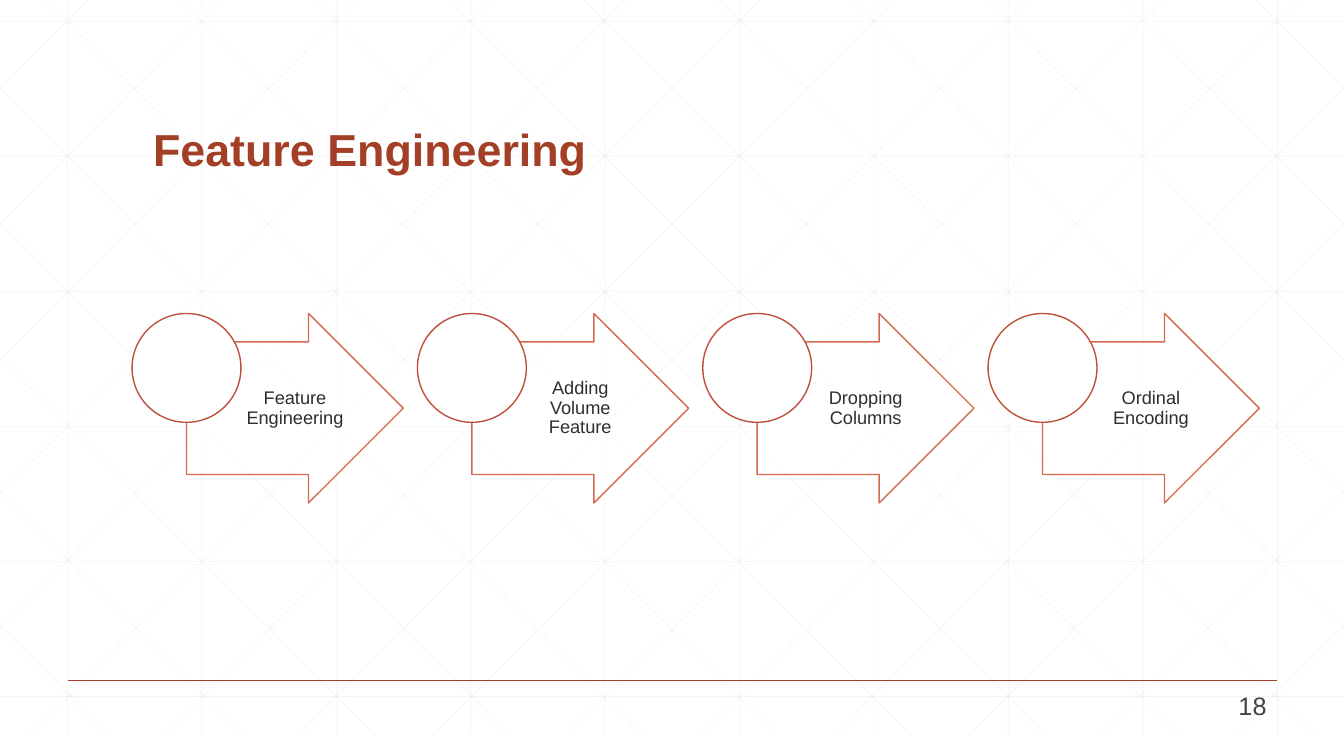
from lxml import etree
from pptx import Presentation
from pptx.dml.color import RGBColor
from pptx.enum.shapes import MSO_CONNECTOR, MSO_SHAPE
from pptx.enum.text import MSO_ANCHOR, PP_ALIGN
from pptx.oxml.ns import qn
from pptx.util import Pt

STRAIGHT = MSO_CONNECTOR.STRAIGHT
ARROW, CIRCLE = MSO_SHAPE.RIGHT_ARROW, MSO_SHAPE.OVAL
BOTTOM, MIDDLE = MSO_ANCHOR.BOTTOM, MSO_ANCHOR.MIDDLE
LEFT, CENTER, RIGHT = PP_ALIGN.LEFT, PP_ALIGN.CENTER, PP_ALIGN.RIGHT
PX = 9144
WIDTH, HEIGHT = 1333, 750
COLORS = {
    "white": "FFFFFF", "grid": "D9D9D9", "brand": "A43F27", "arrow": "D15A3E",
    "circle": "BE5238", "label": "2D2E2D", "number": "424342",
}

prs = Presentation()
prs.slide_width, prs.slide_height = WIDTH * PX, HEIGHT * PX
slide = prs.slides.add_slide(prs.slide_layouts[6])
slide.background.fill.solid()
slide.background.fill.fore_color.rgb = RGBColor.from_string(COLORS["white"])


def write(text, box, size, color, bold=False, align=LEFT, anchor=MIDDLE,
          spacing=1.0, insets=(10, 5, 10, 5)):
    frame = slide.shapes.add_textbox(*(v * PX for v in box)).text_frame
    frame.word_wrap = True
    frame.vertical_anchor = anchor
    (frame.margin_left, frame.margin_top,
     frame.margin_right, frame.margin_bottom) = (v * PX for v in insets)
    paragraph = frame.paragraphs[0]
    paragraph.alignment = align
    paragraph.line_spacing = spacing
    run = paragraph.add_run()
    run.text = text
    run.font.name = "Arial"
    run.font.size = Pt(size)
    run.font.bold = bold
    run.font.color.rgb = RGBColor.from_string(COLORS[color])


def outline(item, color, width, opacity=100):
    item.line.color.rgb = RGBColor.from_string(COLORS[color])
    item.line.width = Pt(width)
    if opacity < 100:
        for tint in item._element.spPr.iter(qn("a:srgbClr")):
            etree.SubElement(tint, qn("a:alpha"), val=str(opacity * 1000))


GRID_TOP, GRID_BOTTOM = -21, 729
SLOPE = 750 / 745
verticals = [round(67 + i * 400 / 3) for i in range(10)]
grid = [(x, GRID_TOP, x, GRID_BOTTOM) for x in verticals]
grid += [(0, y, WIDTH, y) for y in range(21, 692, 134)]

diagonals = []
for i in range(10):
    start = round(25 + i * 400 / 3)
    end = min(start + 745, WIDTH)
    diagonals.append((start, GRID_TOP, end, round(GRID_TOP + (end - start) * SLOPE)))
for i in range(5):
    start = round(637 - i * 132.3)
    diagonals.append((start, GRID_BOTTOM, 0, round(GRID_BOTTOM - start * SLOPE)))
grid += diagonals
grid += [(WIDTH - x1, y1, WIDTH - x2, y2) for x1, y1, x2, y2 in diagonals]

rules = [(ends, "grid", 0.5, 25) for ends in grid]
rules.append(((67, 675, 1267, 675), "brand", 1, 100))
for ends, color, width, opacity in rules:
    rule = slide.shapes.add_connector(STRAIGHT, *(v * PX for v in ends))
    outline(rule, color, width, opacity)
    etree.SubElement(rule._element.spPr, qn("a:effectLst"))

write("Feature Engineering", (142, 55, 1050, 125), 32, "brand",
      bold=True, anchor=BOTTOM, spacing=0.9)

STEPS = ["Feature Engineering", "Adding Volume Feature",
         "Dropping Columns", "Ordinal Encoding"]
for i, step in enumerate(STEPS):
    left = 131 + i * 283
    for preset, box, color, opacity in [
        (ARROW, (left + 54, 311, 215, 188), "arrow", 90),
        (CIRCLE, (left, 311, 108, 108), "circle", 100),
    ]:
        part = slide.shapes.add_shape(preset, *(v * PX for v in box))
        part.shadow.inherit = False
        part.fill.solid()
        part.fill.fore_color.rgb = RGBColor.from_string(COLORS["white"])
        outline(part, color, 1, opacity)
        if preset == ARROW:
            part.adjustments[0], part.adjustments[1] = 0.7, 0.5
    write(step, (left + 108, 339, 105, 132), 13, "label",
          align=CENTER, spacing=0.9, insets=(4, 1, 2, 1))

write("18", (1166, 688, 100, 23), 18, "number", align=RIGHT)

prs.save("out.pptx")
